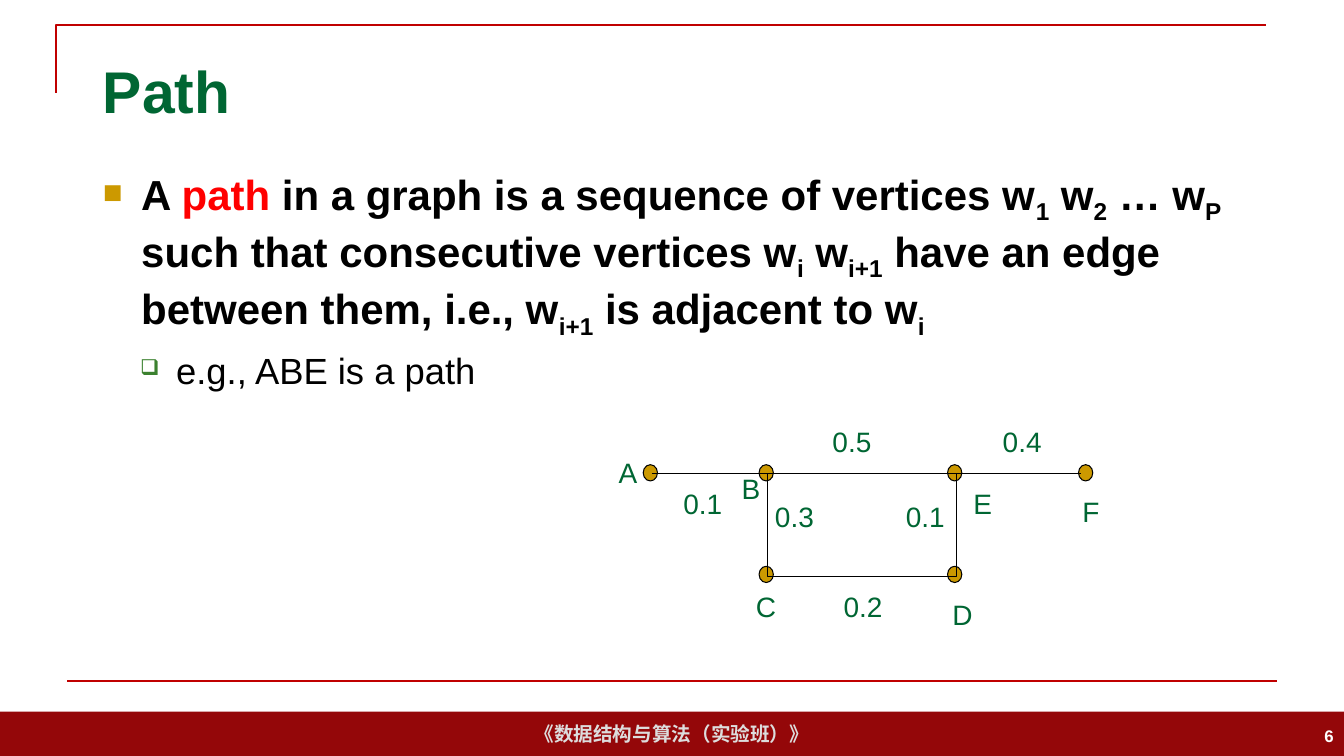
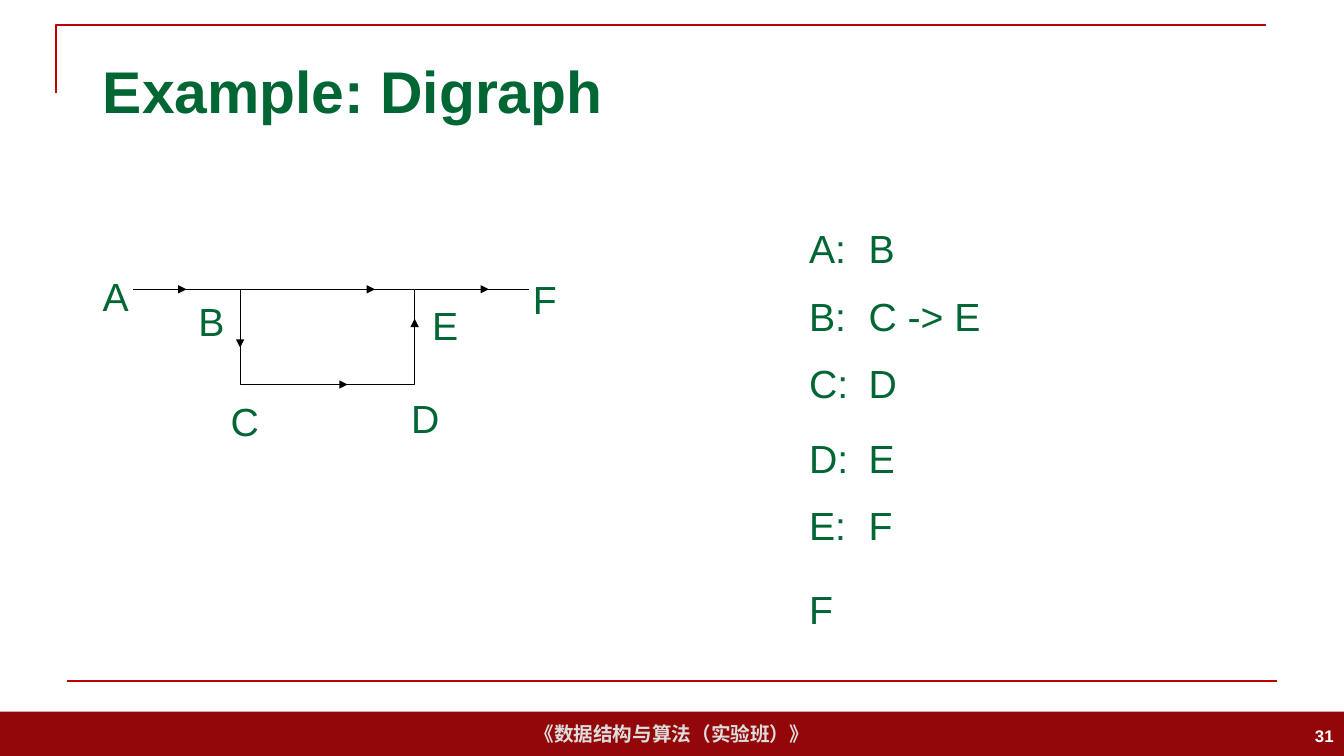
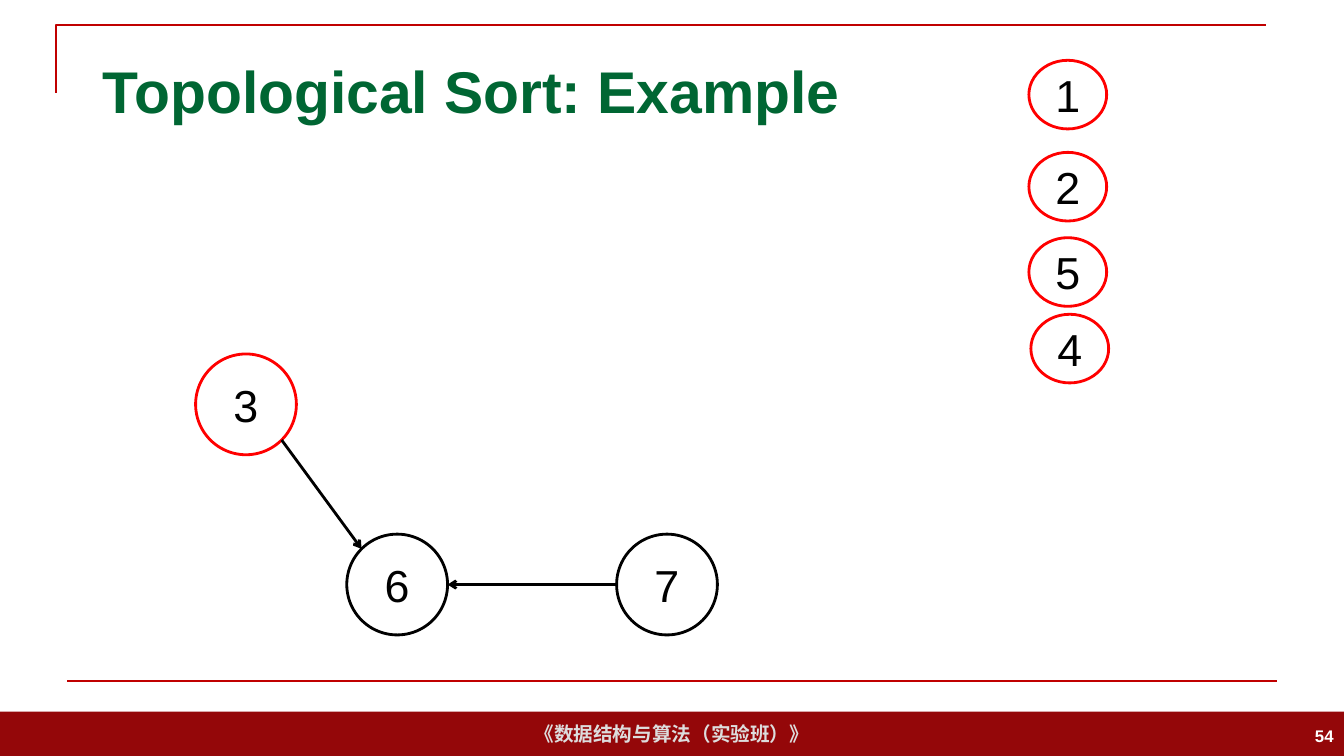
from itertools import product
from math import sqrt

from lxml.etree import SubElement
from pptx import Presentation
from pptx.dml.color import RGBColor
from pptx.enum.shapes import MSO_CONNECTOR, MSO_SHAPE
from pptx.enum.text import MSO_ANCHOR, PP_ALIGN
from pptx.oxml.ns import qn
from pptx.util import Cm, Pt

HUES = {
    "band": "940709", "rule": "C00000", "pale": "DDDDDD", "white": "FFFFFF",
    "green": "006633", "black": "000000", "red": "FF0000", "gold": "CC9900",
    "leaf": "3B812F",
}

# Text formats
FONTS = {
    "title": {"size": Pt(42), "bold": True},
    "foot": {"size": Pt(14), "bold": True},
    "page": {"size": Pt(12), "bold": True},
    "lead": {"size": Pt(30), "bold": True},
    "sub": {"size": Pt(26), "bold": False},
    "tag": {"size": Pt(20)},
    "row": {"size": Pt(28)},
    "node": {"size": Pt(32)},
}
LEFT = {"alignment": PP_ALIGN.LEFT}
MID = {"alignment": PP_ALIGN.CENTER}
RIGHT = {"alignment": PP_ALIGN.RIGHT}
LABEL = {"alignment": PP_ALIGN.LEFT, "space_before": Pt(2)}


def apply(item, vals):
    for key, val in vals.items():
        setattr(item, key, val)


def rgb(hue):
    return RGBColor.from_string(HUES[hue])


def add_run(para, text, font, hue, base=0):
    run = para.add_run()
    run.text = text
    apply(run.font, {"name": "Arial", **FONTS[font]})
    run.font.color.rgb = rgb(hue)
    if base:
        run.font._element.set("baseline", str(base * 1000))


def write(shape, text, font, hue, form, anchor=MSO_ANCHOR.MIDDLE, wrap=True):
    frame = shape.text_frame
    apply(frame, {"word_wrap": wrap, "vertical_anchor": anchor})
    para = frame.paragraphs[0]
    apply(para, form)
    add_run(para, text, font, hue)
    return para


def paint(shape, fill=None, edge=None, width=0.75):
    shape.shadow.inherit = False
    if fill:
        shape.fill.solid()
        shape.fill.fore_color.rgb = rgb(fill)
    else:
        shape.fill.background()
    if edge:
        shape.line.color.rgb = rgb(edge)
        shape.line.width = Pt(width)
    else:
        shape.line.fill.background()


def add_box(slide, kind, x, y, w, h, **look):
    shape = slide.shapes.add_shape(kind, Cm(x), Cm(y), Cm(w), Cm(h))
    paint(shape, **look)
    return shape


def add_text(slide, text, x, y, w, h, font="tag", hue="green",
             form=LABEL, anchor=MSO_ANCHOR.TOP):
    box = slide.shapes.add_textbox(Cm(x), Cm(y), Cm(w), Cm(h))
    return write(box, text, font, hue, form, anchor)


def add_line(slide, start, end, hue="black", width=0.75, head=None):
    line = slide.shapes.add_connector(
        MSO_CONNECTOR.STRAIGHT, *(Cm(n) for n in (*start, *end)))
    line.line.color.rgb = rgb(hue)
    line.line.width = Pt(width)
    if head:
        SubElement(line.line._get_or_add_ln(), qn("a:tailEnd"), type=head)
    SubElement(line._element.spPr, qn("a:effectLst"))


def add_node(slide, text, x, y, w, h, edge):
    node = add_box(slide, MSO_SHAPE.OVAL, x, y, w, h, edge=edge, width=2)
    write(node, text, "node", "black", MID)


def add_mark(para, char, hue, size, left, hang):
    props = para._p.get_or_add_pPr()
    props.set("marL", str(Cm(left)))
    props.set("indent", str(-Cm(hang)))
    tint = SubElement(props, qn("a:buClr"))
    SubElement(tint, qn("a:srgbClr"), val=HUES[hue])
    SubElement(props, qn("a:buSzPct"), val=str(size * 1000))
    SubElement(props, qn("a:buChar"), char=char)


def add_tab(para, pos):
    tabs = SubElement(para._p.get_or_add_pPr(), qn("a:tabLst"))
    SubElement(tabs, qn("a:tab"), pos=str(Cm(pos)), algn="l")


# Title, band, rules and page number of every slide
def new_slide(deck, title, page):
    slide = deck.slides.add_slide(deck.slide_layouts[5])
    band = add_box(slide, MSO_SHAPE.RECTANGLE, 0, 17.93, 33.87, 1.12, fill="band")
    write(band, "《数据结构与算法（实验班）》", "foot", "pale", MID, wrap=False)
    path = slide.shapes.build_freeform(Cm(1.42), Cm(2.34))
    path.add_line_segments(
        [(Cm(1.42), Cm(0.64)), (Cm(31.9), Cm(0.64))], close=False)
    paint(path.convert_to_shape(), edge="rule", width=1.5)
    add_line(slide, (1.7, 17.15), (32.18, 17.15), "rule", 1.5)
    head = slide.shapes.title
    apply(head, {"left": Cm(2.34), "top": Cm(1.02),
                 "width": Cm(29.21), "height": Cm(2.51)})
    write(head, title, "title", "green", LEFT)
    add_text(slide, str(page), 26.24, 18.03, 7.62, 1.02, "page", "white",
             RIGHT, MSO_ANCHOR.MIDDLE)
    return slide


# Box B-C-D-E with an edge out to A and one out to F
def add_graph(slide, a, b, e, f, top, low):
    add_box(slide, MSO_SHAPE.RECTANGLE, b, top, e - b, low - top, edge="black")
    for start, end in ((a, b), (e, f)):
        add_line(slide, (start, top), (end, top))


def add_tags(slide, tags, w, h, font):
    for text, x, y in tags:
        add_text(slide, text, x, y, w, h, font)


def path_slide(deck):
    slide = new_slide(deck, "Path", 6)
    # Definition: text between underscores is set low
    box = slide.shapes.add_textbox(Cm(2.34), Cm(4.11), Cm(29.21), Cm(13.08))
    box.text_frame.word_wrap = True
    lead = box.text_frame.paragraphs[0]
    lead.space_before = Pt(4)
    add_mark(lead, "■", "gold", 65, 0.97, 0.97)
    add_run(lead, "A ", "lead", "black")
    add_run(lead, "path", "lead", "red")
    text = (" in a graph is a sequence of vertices w_1_ w_2_ … w_P_ such that"
            " consecutive vertices w_i_ w_i+1_ have an edge between them,"
            " i.e., w_i+1_ is adjacent to w_i")
    for num, part in enumerate(text.split("_")):
        add_run(lead, part, "lead", "black", -25 if num % 2 else 0)
    sub = box.text_frame.add_paragraph()
    apply(sub, {"level": 1, "space_before": Pt(6)})
    add_mark(sub, "❑", "leaf", 60, 1.85, 0.91)
    add_run(sub, "e.g., ABE is a path", "sub", "black")
    # Weighted graph
    top, low = 11.71, 14.27
    dots = [(16.21, top), (27.18, top), *product((19.13, 23.88), (top, low))]
    for x, y in dots:
        add_box(slide, MSO_SHAPE.OVAL, x, y, 0.36, 0.41, fill="gold", edge="black")
    add_graph(slide, 16.43, 19.35, 24.1, 27.23, 11.94, 14.53)
    add_tags(slide, [
        ("A", 15.34, 11.35), ("B", 18.44, 11.76), ("C", 18.8, 14.73),
        ("D", 23.75, 14.94), ("E", 24.28, 12.14), ("F", 27.03, 12.34),
    ], 1.09, 1.12, "tag")
    add_tags(slide, [
        ("0.5", 20.73, 10.57), ("0.1", 16.97, 12.14), ("0.4", 25.02, 10.57),
        ("0.3", 19.28, 12.45), ("0.2", 21.01, 14.73), ("0.1", 22.58, 12.45),
    ], 1.83, 1.12, "tag")


def digraph_slide(deck):
    slide = new_slide(deck, "Example: Digraph", 31)
    # Adjacency lists
    rows = [("A:\tB", 5.54), ("B:\tC -> E", 7.24), ("C:\tD", 8.92),
            ("D:\tE", 10.82), ("E:\tF", 12.52), ("F", 14.63)]
    for text, y in rows:
        add_tab(add_text(slide, text, 20.14, y, 12.5, 1.45, "row"), 1.5)
    # Directed graph
    b, e, top, low = 6.05, 10.45, 7.29, 9.69
    add_graph(slide, 3.35, b, e, 13.34, top, low)
    add_tags(slide, [
        ("A", 2.34, 6.73), ("B", 4.75, 7.37), ("C", 5.56, 9.88),
        ("D", 10.11, 9.8), ("E", 10.64, 7.47), ("F", 13.18, 6.81),
    ], 1.02, 1.45, "row")
    for start, end in [
        ((6.22, top), (9.45, top)), ((3.68, top), (4.7, top)),
        ((b, 8.03), (b, 8.76)), ((6.73, low), (8.76, low)),
        ((e, 9.32), (e, 8.03)), ((10.97, top), (12.32, top)),
    ]:
        add_line(slide, start, end, head="triangle")


def sort_slide(deck):
    slide = new_slide(deck, "Topological Sort: Example", 54)
    # Nodes still in the graph
    size = 2.54
    half = size / 2
    spots = {"3": (4.93, 8.92, "red"), "6": (8.74, 13.46, "black"),
             "7": (15.54, 13.46, "black")}
    for text, (x, y, edge) in spots.items():
        add_node(slide, text, x, y, size, size, edge)
    # Arrows meet the circles at their side or on the diagonal
    mids = {key: (x + half, y + half) for key, (x, y, _) in spots.items()}
    (x3, y3), (x6, y6), (x7, y7) = mids.values()
    diag = half / sqrt(2)
    for start, end in [
        ((x7 - half, y7), (x6 + half, y6)),
        ((x3 + diag, y3 + diag), (x6 - diag, y6 - diag)),
    ]:
        add_line(slide, start, end, width=2, head="arrow")
    # Nodes already sorted
    for text, x, y in [("1", 25.93, 1.52), ("2", 25.93, 3.84),
                       ("5", 25.93, 5.99), ("4", 25.98, 7.92)]:
        add_node(slide, text, x, y, 1.96, 1.73, "red")


def main():
    deck = Presentation()
    apply(deck, {"slide_width": Cm(33.87), "slide_height": Cm(19.05)})
    for build in (path_slide, digraph_slide, sort_slide):
        build(deck)
    deck.save("out.pptx")


if __name__ == "__main__":
    main()
